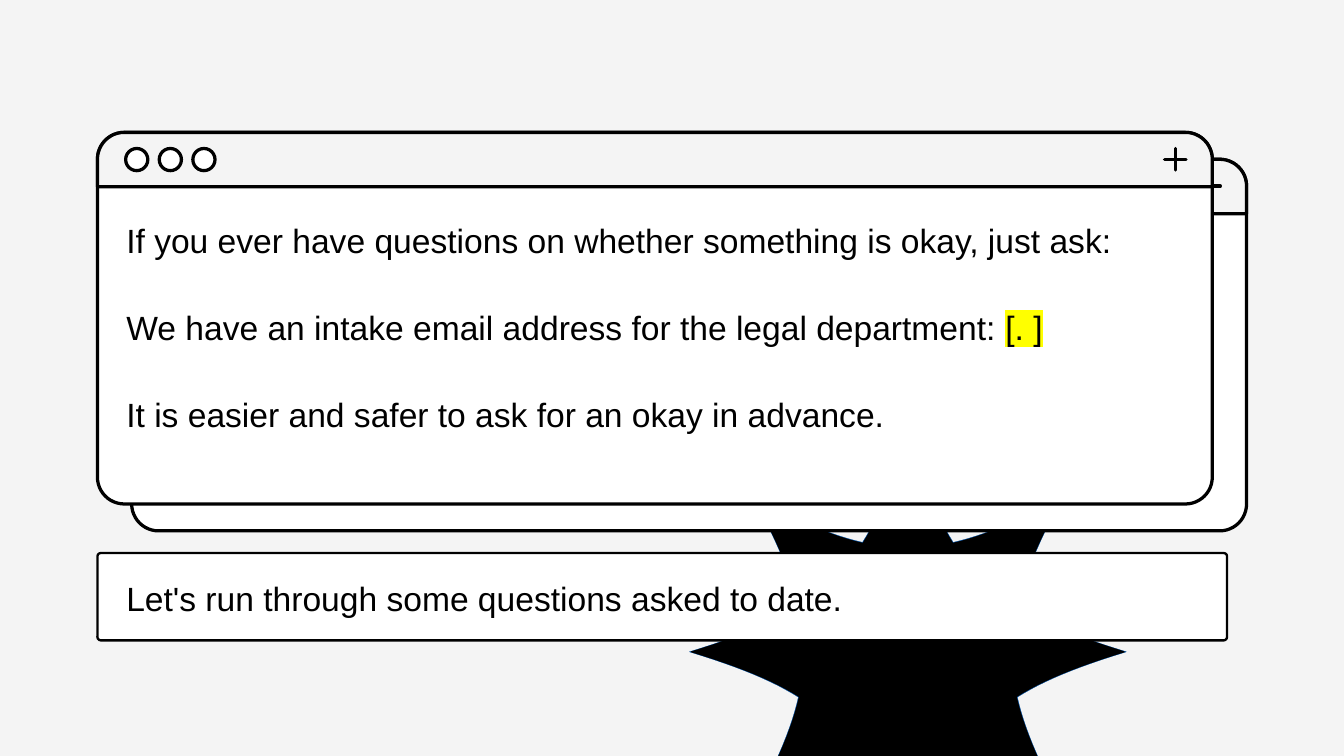
from math import cos, pi, sin

from lxml import etree
from pptx import Presentation
from pptx.dml.color import RGBColor
from pptx.enum.shapes import MSO_CONNECTOR, MSO_SHAPE
from pptx.oxml.ns import qn
from pptx.util import Inches, Pt

ROUND = MSO_SHAPE.ROUNDED_RECTANGLE
HEAD = MSO_SHAPE.ROUND_2_SAME_RECTANGLE
OVAL = MSO_SHAPE.OVAL
STRAIGHT = MSO_CONNECTOR.STRAIGHT
BLACK, WHITE, PALE, BLUE = "000000", "FFFFFF", "F4F4F4", "004A98"
EDGE = [(0, -3.22), (0.23, -2.47), (0.43, -1.99), (0.67, -1.61)]


def color(code):
    return RGBColor.from_string(code)


def paint(shape, fill, line, width):
    shape.shadow.inherit = False
    shape.fill.solid()
    shape.fill.fore_color.rgb = color(fill)
    shape.line.color.rgb = color(line)
    shape.line.width = Pt(width)


def add_form(slide, kind, left, top, width, height, fill, stroke=3.5, radius=None):
    shape = slide.shapes.add_shape(
        kind, Inches(left), Inches(top), Inches(width), Inches(height))
    if radius:
        shape.adjustments[0] = radius / min(width, height)
    paint(shape, fill, BLACK, stroke)


def add_line(slide, x1, y1, x2, y2):
    line = slide.shapes.add_connector(
        STRAIGHT, Inches(x1), Inches(y1), Inches(x2), Inches(y2))
    line.line.color.rgb = color(BLACK)
    line.line.width = Pt(3.5)
    line.line._get_or_add_ln().set("cap", "rnd")
    etree.SubElement(line._element.spPr, qn("a:effectLst"))


def bezier(t):
    u = 1 - t
    parts = (u ** 3, 3 * u * u * t, 3 * u * t * t, t ** 3)
    return tuple(sum(w * p[i] for w, p in zip(parts, EDGE)) for i in (0, 1))


def add_star(slide, x, y, scale, fill, width):
    half = [bezier(i / 12) for i in range(13)]
    arm = [(-a, b) for a, b in reversed(half)] + half[1:]
    points = []
    for turn in range(8):
        c, s = cos(turn * pi / 4), sin(turn * pi / 4)
        points += [(x + scale * (a * c - b * s), y + scale * (a * s + b * c))
                   for a, b in arm]
    spots = [(Inches(a), Inches(b)) for a, b in points]
    pen = slide.shapes.build_freeform(*spots[0])
    pen.add_line_segments(spots[1:], close=True)
    paint(pen.convert_to_shape(), fill, fill, width)


def add_window(slide, left, top, front):
    add_form(slide, ROUND, left, top, 16.59, 5.53, WHITE, radius=0.4)
    add_form(slide, HEAD, left, top, 16.59, 0.81, PALE, radius=0.4)
    x, y, arm = left + 16.04, top + 0.4, 0.16
    add_line(slide, x - arm, y, x + arm, y)
    if front:
        add_line(slide, x, y - arm, x, y + arm)
        for i in range(3):
            add_form(slide, OVAL, left + 0.42 + 0.5 * i, top + 0.24,
                     0.33, 0.33, WHITE)


def mark(run, code):
    light = etree.SubElement(run._r.get_or_add_rPr(), qn("a:highlight"))
    etree.SubElement(light, qn("a:srgbClr")).set("val", code)


def add_text(slide, left, top, width, height, lines):
    frame = slide.shapes.add_textbox(
        Inches(left), Inches(top), Inches(width), Inches(height)).text_frame
    frame.word_wrap = True
    frame.margin_left = frame.margin_right = 0
    frame.margin_top = frame.margin_bottom = 0
    for i, (text, note) in enumerate(lines):
        para = frame.add_paragraph() if i else frame.paragraphs[0]
        para.line_spacing = Pt(46.8)
        if i:
            para.space_before = Pt(46.4)
        para.font.name = "Arial"
        para.font.size = Pt(36)
        para.font.color.rgb = color(BLACK)
        para.add_run().text = text
        if note:
            run = para.add_run()
            run.text = note
            mark(run, "FFFF00")


def main():
    deck = Presentation()
    deck.slide_width, deck.slide_height = Inches(20), Inches(11.25)
    slide = deck.slides.add_slide(deck.slide_layouts[6])
    slide.background.fill.solid()
    slide.background.fill.fore_color.rgb = color(PALE)

    add_star(slide, 13.51, 9.7, 1.01, BLUE, 0.25)
    add_star(slide, 13.51, 9.7, 1, BLACK, 1)
    add_window(slide, 1.96, 2.37, False)
    add_window(slide, 1.45, 1.97, True)
    add_form(slide, ROUND, 1.45, 8.23, 16.81, 1.3, WHITE, 2.5, 0.05)

    add_text(slide, 1.88, 8.55, 13.8, 0.63, [
        ("Let's run through some questions asked to date.", "")])
    add_text(slide, 1.88, 3.22, 15.72, 3.21, [
        ("If you ever have questions on whether something is okay, just ask:", ""),
        ("We have an intake email address for the legal department: ", "[. ]"),
        ("It is easier and safer to ask for an okay in advance.", "")])
    deck.save("out.pptx")


if __name__ == "__main__":
    main()
